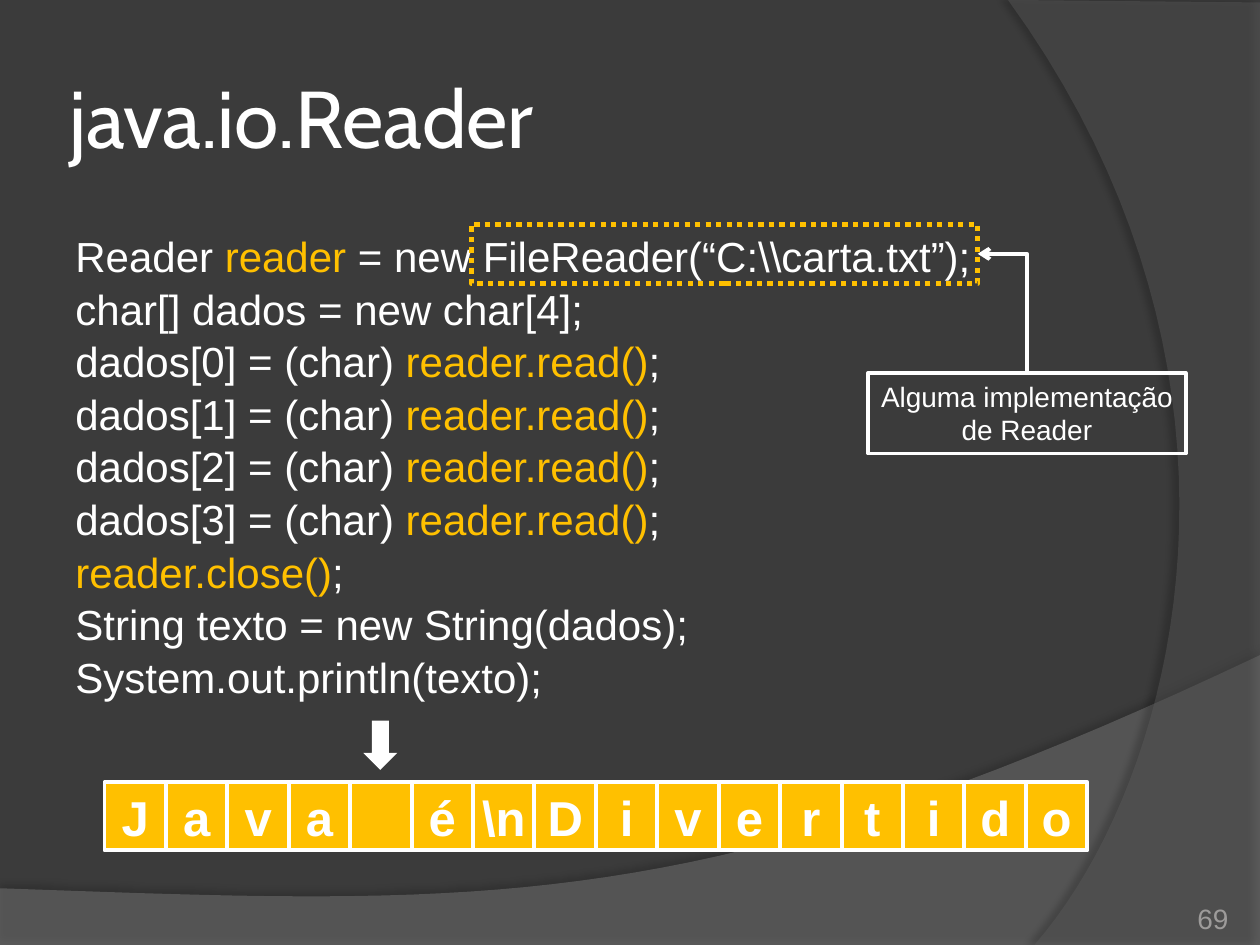
from dataclasses import dataclass

import lxml.etree
import pptx
import pptx.dml.color
import pptx.enum.dml
import pptx.enum.shapes
import pptx.enum.text
import pptx.oxml.ns
import pptx.util

Inches = pptx.util.Inches
Pt = pptx.util.Pt
Shape = pptx.enum.shapes.MSO_SHAPE
Align = pptx.enum.text.PP_ALIGN
Anchor = pptx.enum.text.MSO_ANCHOR


@dataclass(frozen=True)
class Theme:
    background: str = "3B3B3B"
    wave: str = "7F7F7F"
    arc: str = "5E5E5E"
    text: str = "FFFFFF"
    accent: str = "FFC000"
    muted: str = "9D9B9A"
    title_font: str = "Cabin"
    body_font: str = "Arial"
    title_size: int = 46
    code_size: int = 24
    cell_size: int = 28
    small_size: int = 16
    line: float = 2.25
    dotted_line: float = 3


THEME = Theme()
READ_LINES = [[f"dados[{index}] = (char) ", "*reader.read()", ";"] for index in range(4)]
# Spans that start with an asterisk take the accent colour
CODE = [
    ["Reader ", "*reader ", "= new FileReader(“C:\\\\carta.txt”);"],
    ["char[] dados = new char[4];"],
    *READ_LINES,
    ["*reader.close()", ";"],
    ["String texto = new String(dados);"],
    ["System.out.println(texto);"],
]
CELLS = ["J", "a", "v", "a", "", "é", "\\n", "D", "i", "v", "e", "r", "t", "i", "d", "o"]


def rgb(value):
    return pptx.dml.color.RGBColor.from_string(value)


def add_xml(parent, tag, **attributes):
    child = lxml.etree.SubElement(parent, pptx.oxml.ns.qn(tag))
    for name, value in attributes.items():
        child.set(name, str(value))
    return child


def set_font(font, size, color, name=THEME.body_font, bold=False):
    font.size, font.name, font.bold = Pt(size), name, bold
    font.color.rgb = rgb(color)


def set_frame(shape, anchor, insets):
    frame = shape.text_frame
    frame.word_wrap, frame.vertical_anchor = True, anchor
    frame.margin_left, frame.margin_top, frame.margin_right, frame.margin_bottom = map(Inches, insets)
    return frame


def add_box(shapes, kind, box, fill=None, line=None, width=THEME.line):
    shape = shapes.add_shape(kind, *map(Inches, box))
    shape.shadow.inherit = False
    if fill:
        shape.fill.solid()
        shape.fill.fore_color.rgb = rgb(fill)
    else:
        shape.fill.background()
    if line:
        shape.line.color.rgb = rgb(line)
        shape.line.width = Pt(width)
    else:
        shape.line.fill.background()
    return shape


def bezier(points, steps=40):
    """Points along a cubic curve, without its start."""
    for step in range(1, steps + 1):
        t = step / steps
        weights = ((1 - t) ** 3, 3 * t * (1 - t) ** 2, 3 * t * t * (1 - t), t ** 3)
        yield tuple(sum(w * p[axis] for w, p in zip(weights, points)) for axis in (0, 1))


def add_band(page, box, corners, curve, color, opacity, shadow_opacity, distance, direction):
    """Translucent area closed by a curve; points are relative to the box."""
    left, top = box
    points = [(Inches(left + x), Inches(top + y)) for x, y in corners + list(bezier(curve))]
    builder = page.shapes.build_freeform(*points[0], scale=1.0)
    builder.add_line_segments(points[1:], close=True)
    band = builder.convert_to_shape()
    band.shadow.inherit = False
    band.line.fill.background()
    band.fill.solid()
    band.fill.fore_color.rgb = rgb(color)
    properties = band.element.spPr
    add_xml(properties.find(".//" + pptx.oxml.ns.qn("a:srgbClr")), "a:alpha", val=opacity * 1000)
    effects = properties.find(pptx.oxml.ns.qn("a:effectLst"))
    shadow = add_xml(effects, "a:outerShdw", blurRad=Pt(4), dist=Pt(distance),
                     dir=direction * 60000, algn="ctr", rotWithShape=0)
    add_xml(add_xml(shadow, "a:srgbClr", val="000000"), "a:alpha", val=shadow_opacity * 1000)


def add_backdrop(page):
    page.background.fill.solid()
    page.background.fill.fore_color.rgb = rgb(THEME.background)
    add_band(page, (0, 5.2), [(0, 1.85), (0, 2.3), (10, 2.3), (10, 0)],
             [(10, 0), (5.59, 2.09), (3.91, 1.99), (0, 1.85)], THEME.wave, 45, 35, 3.5, 270)
    add_band(page, (8, 0), [(0, 0), (2, 0.02), (2, 7.5), (0.21, 7.5)],
             [(0.21, 7.5), (1.35, 6.19), (2.18, 3), (0, 0)], THEME.arc, 40, 45, 4, 180)


def add_title(page, box, text):
    title = page.shapes.title
    title.left, title.top, title.width, title.height = map(Inches, box)
    frame = set_frame(title, Anchor.MIDDLE, [0.05] * 4)
    frame.auto_size = pptx.enum.text.MSO_AUTO_SIZE.NONE
    frame.text = text
    para = frame.paragraphs[0]
    para.alignment = Align.LEFT
    set_font(para.font, THEME.title_size, THEME.text, THEME.title_font)
    # Keep the title in front of the backdrop
    title.element.getparent().append(title.element)


def add_code(page, box):
    frame = set_frame(page.shapes.add_textbox(*map(Inches, box)), Anchor.TOP, (0.1, 0.08, 0.1, 0.05))
    for index, line in enumerate(CODE):
        para = frame.paragraphs[0] if index == 0 else frame.add_paragraph()
        para.space_after = Pt(1.25)
        set_font(para.font, THEME.code_size, THEME.text)
        for text in line:
            span = para.add_run()
            span.text = text.lstrip("*")
            if text.startswith("*"):
                span.font.color.rgb = rgb(THEME.accent)


def add_callout(page, box):
    """Dotted frame at the top left, label at the bottom right, arrow between."""
    left, top, width, height = box
    frame_width, frame_height = 4.02, 0.47
    label_width, label_height = 2.52, 0.64
    label_left, label_top = left + width - label_width, top + height - label_height
    group = page.shapes.add_group_shape().shapes
    dotted = add_box(group, Shape.RECTANGLE, (left, top, frame_width, frame_height),
                     line=THEME.accent, width=THEME.dotted_line)
    dotted.line.dash_style = pptx.enum.dml.MSO_LINE.ROUND_DOT
    label = add_box(group, Shape.RECTANGLE, (label_left, label_top, label_width, label_height),
                    line=THEME.text)
    frame = set_frame(label, Anchor.TOP, (0.1, 0.05, 0.1, 0.05))
    frame.text = "Alguma implementação de Reader"
    para = frame.paragraphs[0]
    para.alignment = Align.CENTER
    set_font(para.font, THEME.small_size, THEME.text)

    # Right-angled arrow from the label to the dotted frame
    ends = (left + frame_width, top + frame_height / 2, label_left + label_width / 2, label_top)
    arrow = page.shapes.add_connector(pptx.enum.shapes.MSO_CONNECTOR.ELBOW, *map(Inches, ends))
    arrow.line.color.rgb = rgb(THEME.text)
    arrow.line.width = Pt(THEME.line)
    properties = arrow.element.spPr
    properties.find(pptx.oxml.ns.qn("a:prstGeom")).set("prst", "bentConnector2")
    add_xml(properties.find(pptx.oxml.ns.qn("a:ln")), "a:headEnd", type="arrow")
    add_xml(properties, "a:effectLst")


def add_character_strip(page, box, current):
    """One cell per character, with an arrow above the current one."""
    left, top, width, height = box
    pitch = width / len(CELLS)
    group = page.shapes.add_group_shape().shapes
    for index, character in enumerate(CELLS):
        cell = add_box(group, Shape.RECTANGLE, (left + index * pitch, top, pitch, height),
                       THEME.accent, THEME.text)
        if character:
            frame = set_frame(cell, Anchor.MIDDLE, (0, 0.05, 0, 0.05))
            frame.text = character
            para = frame.paragraphs[0]
            para.alignment = Align.CENTER
            set_font(para.font, THEME.cell_size, THEME.text, bold=True)
    center = left + (current + 0.5) * pitch
    add_box(group, Shape.DOWN_ARROW, (center - 0.14, top - 0.49, 0.27, 0.39), THEME.text)


def add_page_number(page, box, number):
    frame = set_frame(page.shapes.add_textbox(*map(Inches, box)), Anchor.BOTTOM, [0] * 4)
    frame.text = number
    para = frame.paragraphs[0]
    para.alignment = Align.RIGHT
    set_font(para.font, THEME.small_size, THEME.muted)


def main():
    deck = pptx.Presentation()
    deck.slide_width, deck.slide_height = Inches(10), Inches(7.5)
    page = deck.slides.add_slide(deck.slide_layouts.get_by_name("Title Only"))
    add_backdrop(page)
    add_title(page, (0.5, 0.3, 8.17, 1.25), "java.io.Reader")
    add_code(page, (0.5, 1.75, 8.99, 4.95))
    add_page_number(page, (8.92, 7.02, 0.83, 0.4), "69")
    add_callout(page, (3.74, 1.78, 5.67, 1.82))
    add_character_strip(page, (0.83, 6.21, 7.8, 0.54), current=4)
    deck.save("out.pptx")


if __name__ == "__main__":
    main()
